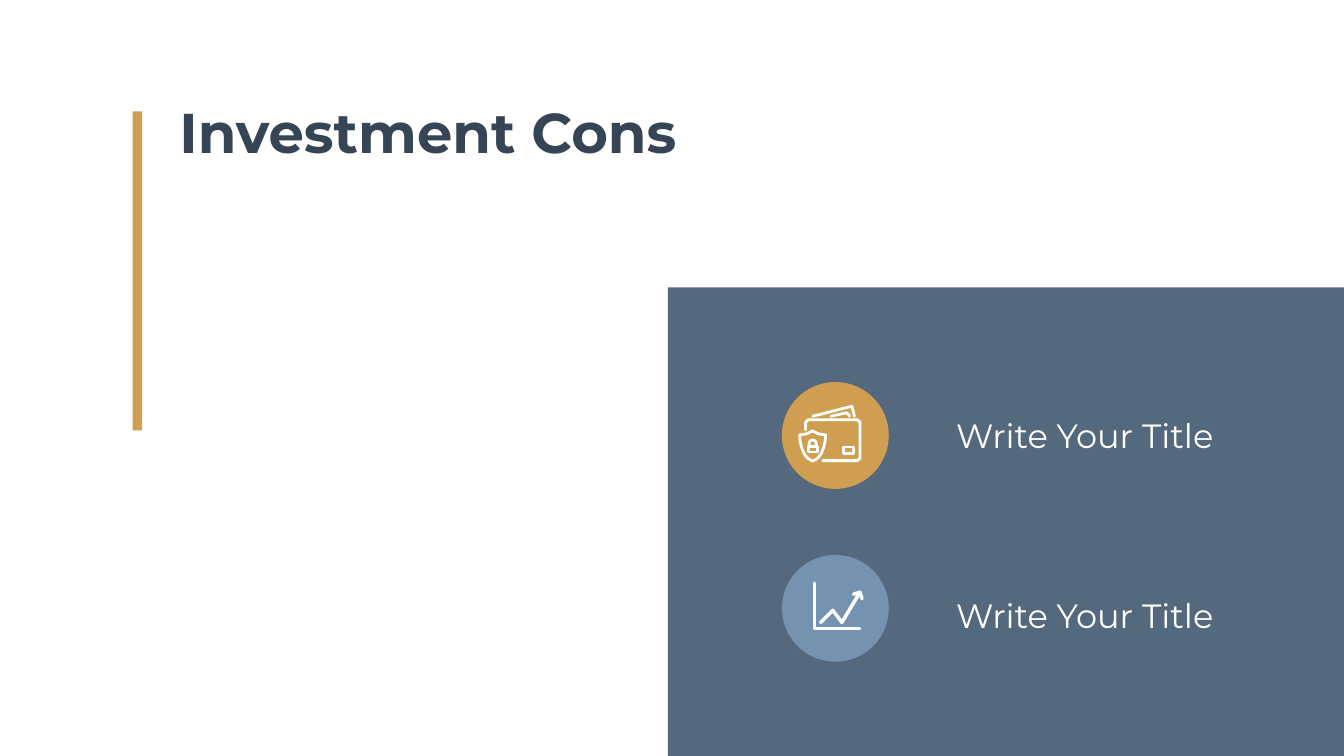
"""Build the "Investment Cons" slide: a title with an accent bar and a panel of two icon rows."""
from dataclasses import dataclass
from math import cos, pi, sin

from lxml import etree
from pptx import Presentation
from pptx.dml.color import RGBColor
from pptx.enum.shapes import MSO_SHAPE
from pptx.enum.text import MSO_ANCHOR, PP_ALIGN
from pptx.oxml.ns import qn
from pptx.util import Inches, Pt

RECTANGLE, OVAL = MSO_SHAPE.RECTANGLE, MSO_SHAPE.OVAL
LEFT, TOP = PP_ALIGN.LEFT, MSO_ANCHOR.TOP


@dataclass(frozen=True)
class Theme:
    font: str = "Montserrat"
    navy: str = "364556"
    slate: str = "54687E"
    gold: str = "CF9E50"
    blue: str = "7592B0"
    white: str = "FFFFFF"
    title_size: int = 80
    label_size: int = 48


THEME = Theme()
WIDTH, HEIGHT = 26.66, 15
TITLE = "Investment Cons"

SHIELD_X = -0.45
SHIELD_SIDE = [(0, -0.09), (0.12, -0.03), (0.26, -0.01), (0.25, 0.1),
               (0.22, 0.24), (0.16, 0.38), (0.09, 0.46), (0, 0.51)]
SHIELD = ([(SHIELD_X + x, y) for x, y in SHIELD_SIDE]
          + [(SHIELD_X - x, y) for x, y in SHIELD_SIDE[-2:0:-1]])
SHACKLE_ARC = [(SHIELD_X - 0.07 * cos(pi * step / 8), 0.16 - 0.07 * sin(pi * step / 8))
               for step in range(9)]
SHACKLE = [(-0.52, 0.21), *SHACKLE_ARC, (-0.38, 0.21)]

WALLET_ICON = [
    ([(0.16, 0.23), (0.36, 0.23), (0.36, 0.36), (0.16, 0.36)], True),
    ([(-0.45, -0.38), (0.33, -0.58), (0.38, -0.38)], False),
    ([(-0.09, -0.38), (0.22, -0.45), (0.25, -0.42), (0.27, -0.42), (0.28, -0.38)], False),
    ([(-0.25, 0.5), (0.44, 0.5), (0.49, 0.45), (0.49, -0.26), (0.44, -0.31),
      (-0.54, -0.31), (-0.59, -0.26), (-0.59, -0.11)], False),
    (SHIELD, True),
    ([(-0.53, 0.22), (-0.36, 0.22), (-0.36, 0.33), (-0.53, 0.33)], True),
    (SHACKLE, False),
]
CHART_ICON = [
    ([(-0.41, -0.5), (-0.41, 0.4)], False),
    ([(-0.41, 0.4), (0.48, 0.4)], False),
    ([(-0.29, 0.28), (-0.05, 0.04), (0.13, 0.28), (0.49, -0.32)], False),
    ([(0.49, -0.32), (0.53, -0.19)], False),
    ([(0.36, -0.28), (0.49, -0.32)], False),
]
ITEMS = [
    {"label": "Write Your Title", "badge": THEME.gold, "icon": WALLET_ICON, "stroke": 4},
    {"label": "Write Your Title", "badge": THEME.blue, "icon": CHART_ICON, "stroke": 5},
]

PANEL_LEFT, PANEL_TOP = WIDTH * 0.497, HEIGHT * 0.38
BADGE_SIZE, BADGE_LEFT, BADGE_TOP, BADGE_PITCH = 2.12, 15.51, 7.58, 3.43
LABEL_LEFT, LABEL_TOP, LABEL_PITCH = 18.87, 8.18, 3.57
LABEL_WIDTH, LABEL_HEIGHT = 5.53, 0.91


def place(part, left, top, width, height):
    part.left, part.top = Inches(left), Inches(top)
    part.width, part.height = Inches(width), Inches(height)


def write(part, text, *, size, color, bold=False, wrap=True):
    frame = part.text_frame
    frame.word_wrap = wrap
    frame.vertical_anchor = TOP
    paragraph = frame.paragraphs[0]
    paragraph.alignment = LEFT
    run = paragraph.add_run()
    run.text = text
    run.font.name = THEME.font
    run.font.size = Pt(size)
    run.font.bold = bold
    run.font.color.rgb = RGBColor.from_string(color)


def add_block(shapes, kind, left, top, width, height, color):
    block = shapes.add_shape(kind, Inches(left), Inches(top), Inches(width), Inches(height))
    block.shadow.inherit = False
    block.fill.solid()
    block.fill.fore_color.rgb = RGBColor.from_string(color)
    block.line.fill.background()


def add_stroke(shapes, center, points, closed, weight):
    corners = [(Inches(center[0] + x), Inches(center[1] + y)) for x, y in points]
    builder = shapes.build_freeform(*corners[0])
    builder.add_line_segments(corners[1:], close=closed)
    stroke = builder.convert_to_shape()
    stroke.shadow.inherit = False
    stroke.fill.background()
    stroke.line.color.rgb = RGBColor.from_string(THEME.white)
    stroke.line.width = Pt(weight)
    outline = stroke._element.spPr.find(qn("a:ln"))
    outline.set("cap", "rnd")
    etree.SubElement(outline, qn("a:round"))


def add_item(slide, row, item):
    shapes = slide.shapes.add_group_shape().shapes
    badge_top = BADGE_TOP + row * BADGE_PITCH
    add_block(shapes, OVAL, BADGE_LEFT, badge_top, BADGE_SIZE, BADGE_SIZE, item["badge"])
    label = shapes.add_textbox(Inches(LABEL_LEFT), Inches(LABEL_TOP + row * LABEL_PITCH),
                               Inches(LABEL_WIDTH), Inches(LABEL_HEIGHT))
    write(label, item["label"], size=THEME.label_size, color=THEME.white, wrap=False)
    center = BADGE_LEFT + BADGE_SIZE / 2, badge_top + BADGE_SIZE / 2
    for points, closed in item["icon"]:
        add_stroke(shapes, center, points, closed, item["stroke"])


def main():
    deck = Presentation()
    deck.slide_width, deck.slide_height = Inches(WIDTH), Inches(HEIGHT)
    slide = deck.slides.add_slide(deck.slide_layouts[5])
    title = slide.shapes.title
    place(title, 3.46, 1.88, 12.93, 1.45)
    write(title, TITLE, size=THEME.title_size, color=THEME.navy, bold=True)
    add_block(slide.shapes, RECTANGLE, PANEL_LEFT, PANEL_TOP,
              WIDTH - PANEL_LEFT, HEIGHT - PANEL_TOP, THEME.slate)
    add_block(slide.shapes, RECTANGLE, 2.63, 2.21, 0.19, 6.33, THEME.gold)
    for row, item in enumerate(ITEMS):
        add_item(slide, row, item)
    deck.save("out.pptx")


if __name__ == "__main__":
    main()
